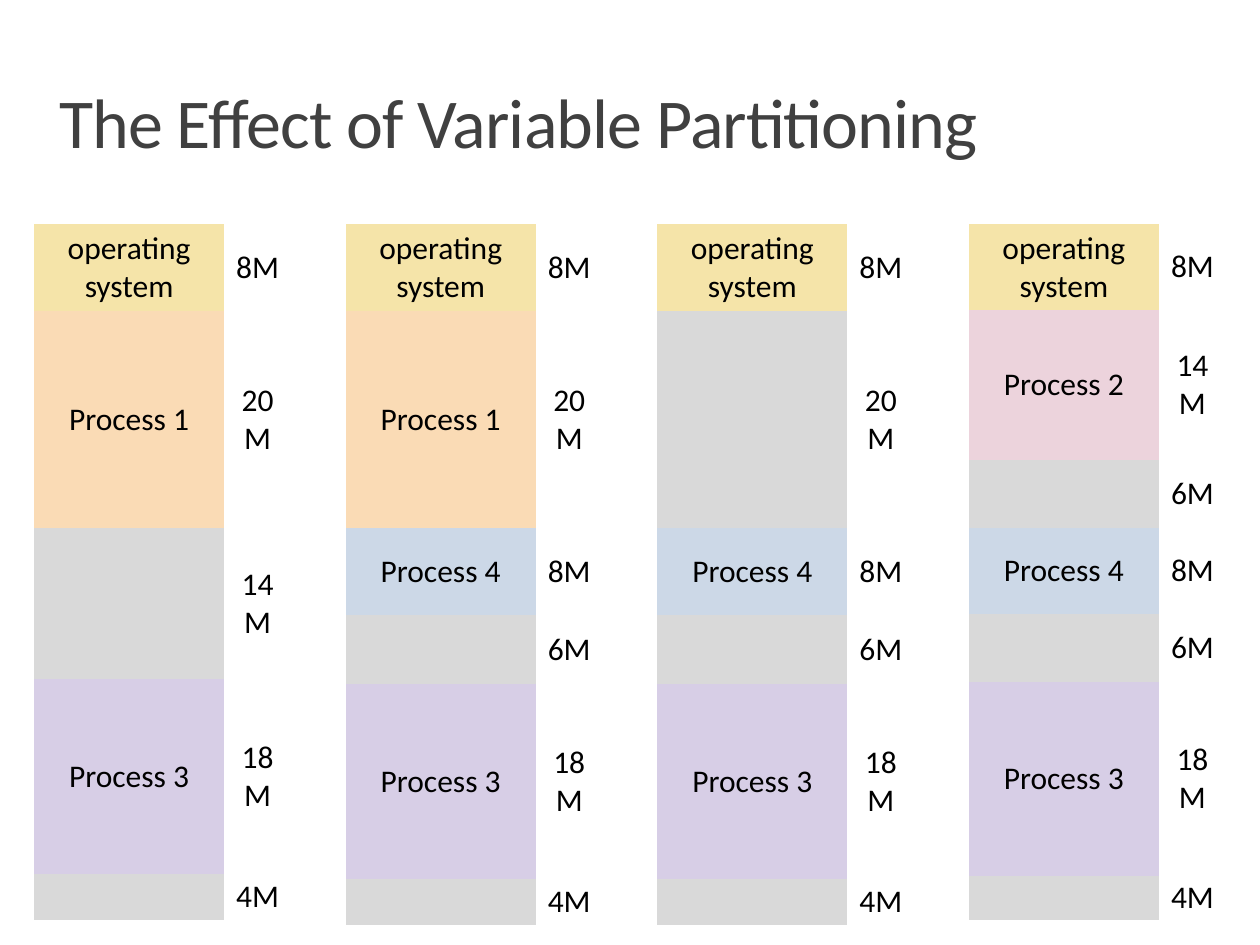
from pptx import Presentation
from pptx.dml.color import RGBColor
from pptx.enum.text import MSO_ANCHOR, PP_ALIGN
from pptx.oxml.ns import qn
from pptx.util import Inches, Pt

# Content: each stage lists (block, size in M) from top to bottom
TITLE = "The Effect of Variable Partitioning"
OS, FREE = "operating system", ""
P1, P2, P3, P4 = ("Process %d" % n for n in range(1, 5))
STAGES = [
    [(OS, 8), (P1, 20), (FREE, 14), (P3, 18), (FREE, 4)],
    [(OS, 8), (P1, 20), (P4, 8), (FREE, 6), (P3, 18), (FREE, 4)],
    [(OS, 8), (FREE, 20), (P4, 8), (FREE, 6), (P3, 18), (FREE, 4)],
    [(OS, 8), (P2, 14), (FREE, 6), (P4, 8), (FREE, 6), (P3, 18), (FREE, 4)],
]
COLORS = {
    OS: "F5E4A9", P1: "FADBB5", P2: "ECD3DC", P3: "D7CEE6", P4: "CCD8E7",
    FREE: "D9D9D9", "title": "404040", "text": "000000",
}

# Layout in inches
HEIGHTS = {4: 0.36, 6: 0.55, 8: 0.69, 14: 1.2, 18: 1.55, 20: 1.72}
TRIM = [0, 0, 0, 0.01]
LEFT, TOP, STEP = 0.27, 1.78, 2.473
WIDTHS = [1.51, 0.53]
PLAIN = "{2D5ABB26-0587-4C30-8999-92F81FD0307C}"


def write(frame, text, size=18, color="text", align=PP_ALIGN.CENTER,
          line=None, space=None):
    para = frame.paragraphs[0]
    para.alignment = align
    if line:
        para.line_spacing = line
    if not text:
        return
    run = para.add_run()
    run.text = text
    run.font.name = "Calibri"
    run.font.size = Pt(size)
    run.font.color.rgb = RGBColor.from_string(COLORS[color])
    if space:
        run.font._element.set("spc", str(round(space * 100)))


def pad(cell, gap):
    cell.margin_left = cell.margin_right = Inches(gap)
    cell.margin_top = cell.margin_bottom = Inches(gap)
    cell.vertical_anchor = MSO_ANCHOR.MIDDLE


def draw_stage(slide, left, blocks, trim):
    tall = [HEIGHTS[size] - trim for _, size in blocks]
    table = slide.shapes.add_table(
        len(blocks), 2, Inches(left), Inches(TOP),
        Inches(sum(WIDTHS)), Inches(sum(tall))).table
    table.first_row = table.horz_banding = False
    table._tbl.tblPr.find(qn("a:tableStyleId")).text = PLAIN
    for col, width in zip(table.columns, WIDTHS):
        col.width = Inches(width)
    for i, (name, size) in enumerate(blocks):
        table.rows[i].height = Inches(tall[i])
        block, label = table.cell(i, 0), table.cell(i, 1)
        pad(block, 0.04 if name else 0)
        pad(label, 0.04 if size > 4 else 0)
        block.fill.solid()
        block.fill.fore_color.rgb = RGBColor.from_string(COLORS[name])
        label.fill.background()
        write(block.text_frame, name)
        write(label.text_frame, "%dM" % size)


prs = Presentation()
prs.slide_width, prs.slide_height = Inches(10), Inches(7.5)
slide = prs.slides.add_slide(prs.slide_layouts[6])

# Title
box = slide.shapes.add_textbox(Inches(0.47), Inches(0.71), Inches(9.06), Inches(0.89))
frame = box.text_frame
frame.word_wrap = True
frame.margin_left = frame.margin_right = frame.margin_bottom = 0
frame.margin_top = Inches(0.04)
write(frame, TITLE, size=40, color="title", align=PP_ALIGN.LEFT, line=0.8, space=-0.5)

# Memory columns
for i, blocks in enumerate(STAGES):
    draw_stage(slide, LEFT + i * STEP, blocks, TRIM[i])

prs.save("out.pptx")
